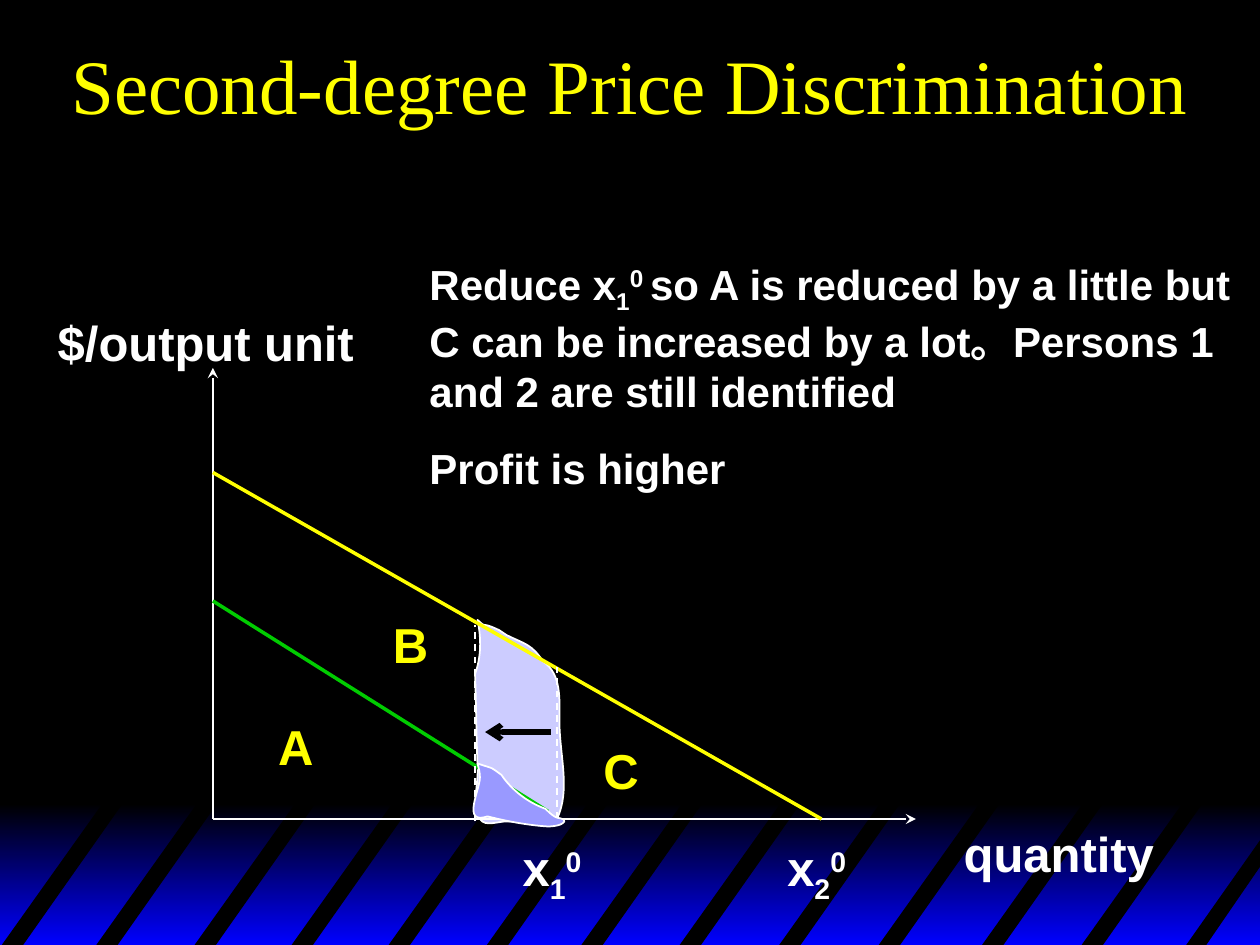
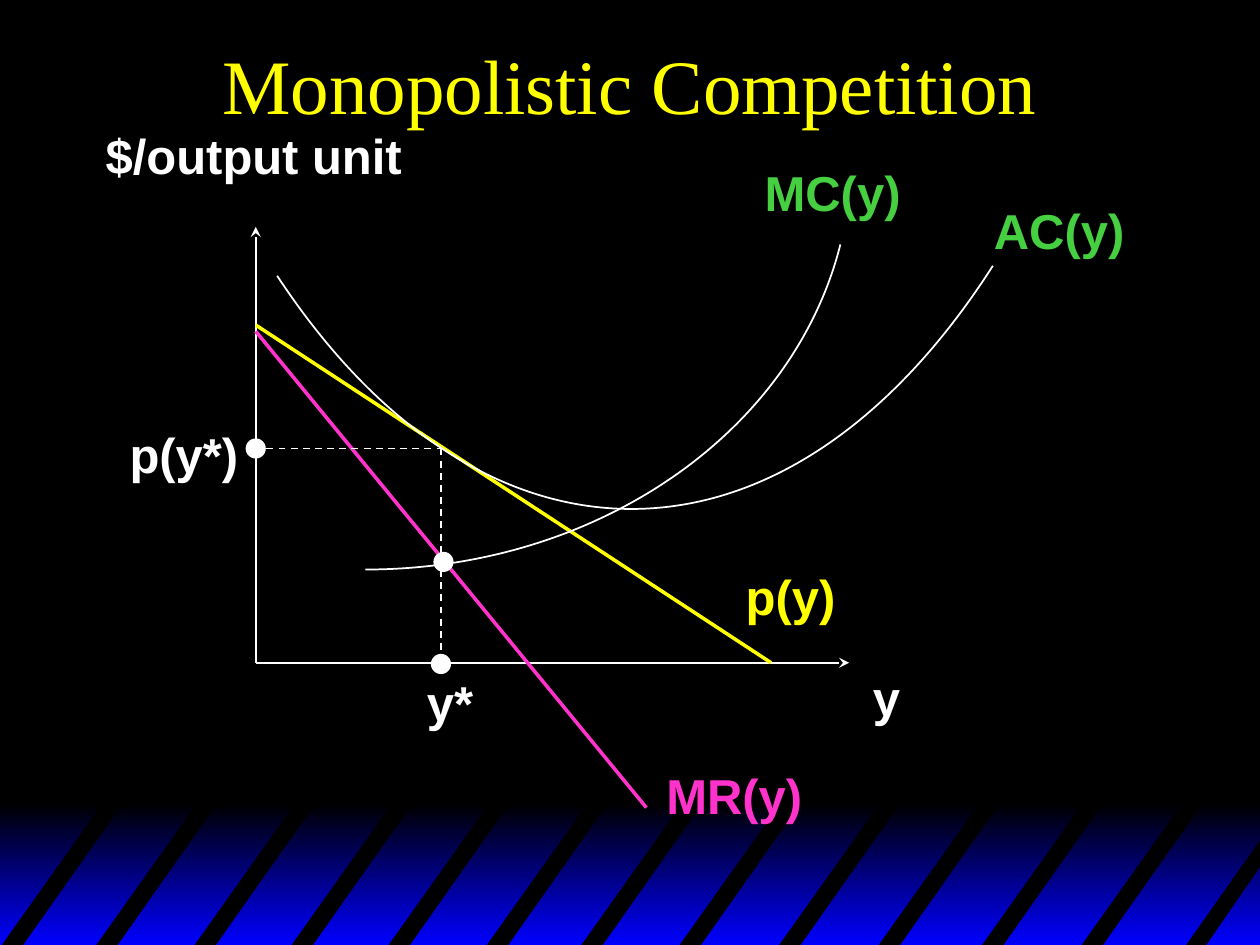
from lxml import etree
from pptx import Presentation
from pptx import util as u
from pptx.dml.color import RGBColor
from pptx.enum import dml, shapes, text
from pptx.oxml.ns import qn

COLOURS = {
    "black": "000000", "white": "FFFFFF", "yellow": "FFFF00", "blue": "0000FF",
    "green": "00CC00", "cost": "46CF41", "pink": "FF33CC",
    "lavender": "CCCCFF", "violet": "9999FF",
}
LABEL_HEIGHT = 0.57
SUB, SUP = -25, 30
STRIPE_LEFTS = [0, 0.75, 1.53, 2.3, 3.07, 3.85, 4.6, 5.38, 6.17, 6.96, 7.78, 8.57]
STRIPE_TOP, STRIPE_FOOT = 6.34, 7.52


def colour(name):
    return RGBColor.from_string(COLOURS[name])


def paint(shape, fill=None, line=None):
    """Set fill and outline of a shape; None leaves either one empty."""
    shape.shadow.inherit = False
    if fill:
        shape.fill.solid()
        shape.fill.fore_color.rgb = colour(fill)
    else:
        shape.fill.background()
    if line:
        shape.line.color.rgb = colour(line)
        shape.line.width = u.Pt(1)
    else:
        shape.line.fill.background()


def add_text(page, paragraphs, left, top, width, height=LABEL_HEIGHT, *, size=28,
             font="Arial", color="white", bold=True, wrap=False, grow=True,
             align=text.PP_ALIGN.LEFT, anchor=text.MSO_ANCHOR.TOP, gap=0):
    """Each paragraph is a string or a list of (words, baseline percent) spans."""
    if isinstance(paragraphs, str):
        paragraphs = [paragraphs]
    box = page.shapes.add_textbox(*map(u.Inches, (left, top, width, height)))
    frame = box.text_frame
    frame.word_wrap = wrap
    frame.vertical_anchor = anchor
    if grow:
        frame.auto_size = text.MSO_AUTO_SIZE.SHAPE_TO_FIT_TEXT
    for index, spans in enumerate(paragraphs):
        para = frame.add_paragraph() if index else frame.paragraphs[0]
        para.alignment = align
        if index and gap:
            para.space_before = u.Pt(gap)
        for words, baseline in [(spans, 0)] if isinstance(spans, str) else spans:
            span = para.add_run()
            span.text = words
            span.font.name = font
            span.font.size = u.Pt(size)
            span.font.bold = bold
            span.font.color.rgb = colour(color)
            if baseline:
                span._r.get_or_add_rPr().set("baseline", str(baseline * 1000))
    return box


def add_line(page, start, end, color="white", width=1, dashed=False, arrow=None):
    line = page.shapes.add_connector(
        shapes.MSO_CONNECTOR.STRAIGHT, *map(u.Inches, (*start, *end)))
    line.line.color.rgb = colour(color)
    line.line.width = u.Pt(width)
    if dashed:
        line.line.dash_style = dml.MSO_LINE.DASH
    if arrow:
        etree.SubElement(line.line._get_or_add_ln(), qn("a:tailEnd"), type=arrow)
    etree.SubElement(line._element.spPr, qn("a:effectLst"))
    return line


def add_outline(page, points, closed=True, fill=None, line=None):
    start, *rest = [(u.Inches(x), u.Inches(y)) for x, y in points]
    builder = page.shapes.build_freeform(*start)
    builder.add_line_segments(rest, close=closed)
    shape = builder.convert_to_shape()
    paint(shape, fill, line)
    return shape


def add_curve(page, points, closed=False, fill=None, line="white"):
    """Points are a start, then two handles and an end for each Bezier piece."""
    shape = add_outline(page, points, closed, fill, line)
    path_node = next(shape._element.iter(qn("a:path")))
    steps = path_node.findall(qn("a:lnTo"))
    for first in range(0, len(steps), 3):
        piece = etree.Element(qn("a:cubicBezTo"))
        steps[first].addprevious(piece)
        for step in steps[first:first + 3]:
            piece.append(step[0])
            path_node.remove(step)
    return shape


def add_dot(page, x, y, size=0.16):
    dot = page.shapes.add_shape(
        shapes.MSO_SHAPE.OVAL,
        *map(u.Inches, (x - size / 2, y - size / 2, size, size)))
    paint(dot, "white")


def add_axes(page, origin, top, right):
    x, y = origin
    add_line(page, origin, (x, top), arrow="stealth")
    add_line(page, origin, (right, y), arrow="stealth")


def add_band(page):
    """Blue gradient along the foot, cut by slanted black stripes."""
    band = page.shapes.add_shape(
        shapes.MSO_SHAPE.RECTANGLE, *map(u.Inches, (0, 6.38, 10, 1.12)))
    paint(band, "black")
    band.fill.gradient()
    band.fill.gradient_angle = 270
    for stop, position, name in zip(band.fill.gradient_stops, (0, 1), ("black", "blue")):
        stop.position = position
        stop.color.rgb = colour(name)
    for left in STRIPE_LEFTS:
        add_outline(page, [(left, STRIPE_FOOT), (left + 0.84, STRIPE_TOP),
                           (left + 1, STRIPE_TOP), (left + 0.17, STRIPE_FOOT)],
                    fill="black")
    # The last stripe is cut off by the slide's edge
    add_outline(page, [(9.4, STRIPE_FOOT), (10.02, 6.64), (10.02, 6.85),
                       (9.56, STRIPE_FOOT)], fill="black")


def add_page(deck, title):
    page = deck.slides.add_slide(deck.slide_layouts[6])
    page.background.fill.solid()
    page.background.fill.fore_color.rgb = colour("black")
    add_band(page)
    add_text(page, title, 0, 0, 10, 1.33, size=44, font="Times New Roman",
             color="yellow", bold=False, wrap=True, grow=False,
             align=text.PP_ALIGN.CENTER, anchor=text.MSO_ANCHOR.MIDDLE)
    return page


def build_price_discrimination(deck):
    page = add_page(deck, "Second-degree Price Discrimination")

    # Area gained by C
    add_curve(page, [
        (3.79, 4.92), (3.82, 5.07), (3.82, 5.21), (3.77, 5.35),
        (3.78, 5.6), (3.78, 5.84), (3.79, 6.08),
        (3.8, 6.22), (3.74, 6.38), (3.81, 6.5),
        (3.85, 6.57), (3.97, 6.51), (4.04, 6.52),
        (4.17, 6.51), (4.36, 6.61), (4.42, 6.5),
        (4.53, 6.27), (4.44, 5.99), (4.44, 5.73),
        (4.44, 5.56), (4.46, 5.35), (4.31, 5.25),
        (4.22, 5.11), (4.16, 5.11), (4.02, 5.04),
        (4, 5.03), (3.98, 5.01), (3.96, 5),
        (3.79, 4.92), (3.88, 5), (3.79, 4.92),
    ], closed=True, fill="lavender")

    # Axes and demand lines
    add_axes(page, (1.69, 6.5), top=2.92, right=7.27)
    add_line(page, (1.69, 3.75), (6.52, 6.5), "yellow", 2)
    add_line(page, (1.69, 4.77), (4.35, 6.44), "green", 2)
    add_line(page, (4.42, 6.5), (4.42, 5.29), dashed=True)

    # Labels
    add_text(page, "$/output unit", 0.36, 2.43, 2.55)
    add_text(page, "quantity", 7.55, 6.49, 2.15, wrap=True)
    for person, left in (("1", 4.05), ("2", 6.15)):
        add_text(page, [[("x", 0), (person, SUB), ("0", SUP)]],
                 left, 6.6, 0.86, 0.63, wrap=True)
    for area, left, top in (("A", 2.11, 5.64), ("B", 3.02, 4.83), ("C", 4.69, 5.83)):
        add_text(page, area, left, top, 0.48, color="yellow")
    add_text(page, [
        [("Reduce x", 0), ("1", SUB), ("0 ", SUP),
         ("so A is reduced by a little but C can be increased by a lot。"
          "Persons 1 and 2 are still identified", 0)],
        "Profit is higher",
    ], 3.31, 2, 6.69, 1.97, size=24, wrap=True, gap=15)

    # Shift of the quantity and the area lost by A
    add_line(page, (3.77, 6.52), (3.77, 4.96), dashed=True)
    add_line(page, (4.37, 5.81), (3.85, 5.81), "black", 3, arrow="arrow")
    add_curve(page, [
        (3.79, 6.06), (3.94, 6.11), (3.88, 6.08), (3.98, 6.15),
        (4.06, 6.27), (4.19, 6.37), (4.33, 6.42),
        (4.35, 6.44), (4.37, 6.46), (4.4, 6.48),
        (4.42, 6.5), (4.49, 6.49), (4.48, 6.52),
        (4.46, 6.56), (4.35, 6.56), (4.35, 6.56),
        (4.19, 6.55), (4.03, 6.52), (3.87, 6.48),
        (3.66, 6.55), (3.81, 6.27), (3.81, 6.17),
        (3.81, 6.13), (3.8, 6.1), (3.79, 6.06),
    ], closed=True, fill="violet")


def build_monopolistic_competition(deck):
    page = add_page(deck, "Monopolistic Competition")

    # Axes, demand and marginal revenue
    add_axes(page, (2.03, 5.26), top=1.8, right=6.74)
    add_line(page, (2.03, 2.58), (6.12, 5.26), "yellow", 2)
    add_line(page, (2.03, 2.63), (5.13, 6.41), "pink", 2)

    # Equilibrium guides and dots
    add_line(page, (3.5, 3.56), (3.5, 5.23), dashed=True)
    add_line(page, (3.52, 3.56), (2.03, 3.56), dashed=True)
    for x, y in ((3.52, 4.46), (2.03, 3.56), (3.5, 5.27)):
        add_dot(page, x, y)

    # Average and marginal cost curves
    add_curve(page, [(7.88, 2.11), (7.08, 3.36), (6.07, 4.04), (5.01, 4.04),
                     (3.98, 4.04), (2.99, 3.39), (2.2, 2.19)])
    add_curve(page, [(2.9, 4.52), (4.72, 4.52), (6.29, 3.45), (6.67, 1.94)])

    # Labels
    for words, left, top, width, name in (
        ("$/output unit", 0.74, 0.95, 2.55, "white"),
        ("y", 6.83, 5.25, 0.42, "white"),
        ("y*", 3.29, 5.29, 0.57, "white"),
        ("p(y*)", 0.93, 3.32, 1.07, "white"),
        ("p(y)", 5.82, 4.45, 0.91, "yellow"),
        ("MR(y)", 5.19, 6.03, 1.28, "pink"),
        ("MC(y)", 5.97, 1.24, 1.28, "cost"),
        ("AC(y)", 7.79, 1.54, 1.24, "cost"),
    ):
        add_text(page, words, left, top, width, color=name)


def main():
    deck = Presentation()
    deck.slide_width, deck.slide_height = u.Inches(10), u.Inches(7.5)
    build_price_discrimination(deck)
    build_monopolistic_competition(deck)
    deck.save("out.pptx")


if __name__ == "__main__":
    main()
